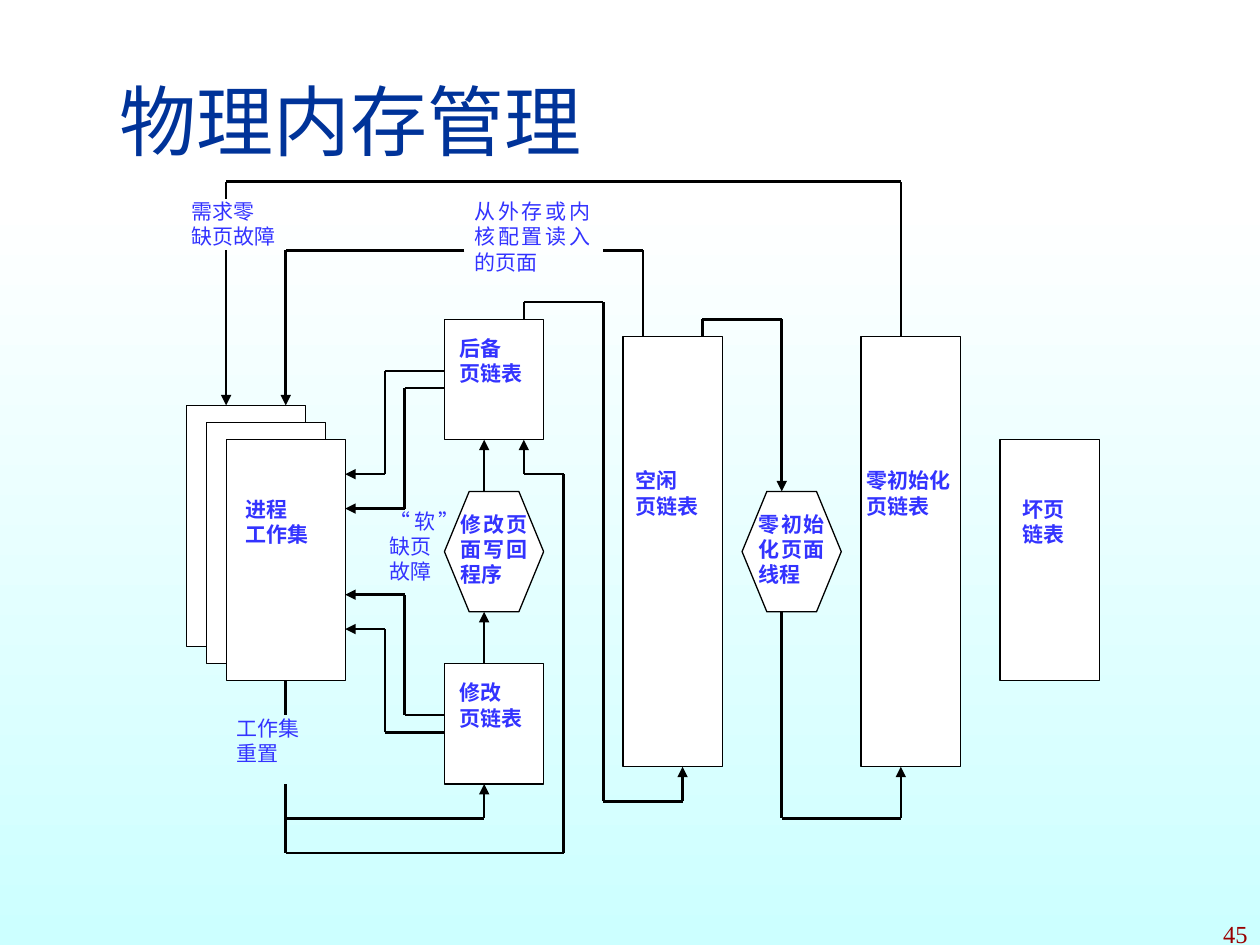
from pptx import Presentation
from pptx.dml.color import RGBColor
from pptx.enum.lang import MSO_LANGUAGE_ID
from pptx.enum.shapes import MSO_CONNECTOR, MSO_SHAPE
from pptx.enum.text import MSO_ANCHOR, PP_ALIGN
from pptx.oxml.ns import qn
from pptx.util import Cm, Pt
from lxml import etree

RECT, HEX = MSO_SHAPE.RECTANGLE, MSO_SHAPE.HEXAGON
LINE = MSO_CONNECTOR.STRAIGHT
TOP = MSO_ANCHOR.TOP
LEFT, RIGHT, JUST = PP_ALIGN.LEFT, PP_ALIGN.RIGHT, PP_ALIGN.JUSTIFY
CHINESE = MSO_LANGUAGE_ID.SIMPLIFIED_CHINESE
SERIF, SANS = "Times New Roman", "Arial"
BLACK, WHITE, BLUE = "000000", "FFFFFF", "3333FF"

# The diagram sits on a grid of columns and rows, in cm
COL, ROW = 0.4, 0.347
WIDE, HIGH = 25.4, 19.05

# Boxes: kind, column, row, columns, rows, text, left and top inset in cm
BOXES = [
    (RECT, 0, 13, 6, 14, "", 0, 0),
    (RECT, 1, 14, 6, 14, "", 0, 0),
    (RECT, 2, 15, 6, 14, "进程\n工作集", 0.4, 1.14),
    (RECT, 13, 8, 5, 7, "后备\n页链表", 0.3, 0.33),
    (HEX, 13, 18, 5, 7, "修改页面写回程序", 0, 0),
    (RECT, 13, 28, 5, 7, "修改\n页链表", 0.3, 0.33),
    (RECT, 22, 9, 5, 25, "空闲\n页链表", 0.25, 2.65),
    (HEX, 28, 18, 5, 7, "零初始化页面线程", 0, 0),
    (RECT, 34, 9, 5, 25, "零初始化\n页链表", 0.1, 2.65),
    (RECT, 41, 15, 5, 14, "坏页\n链表", 0.45, 1.14),
]

# Labels: column, row, columns, rows, text, left and right inset in cm
LABELS = [
    (0, 1, 5, 3, "需求零\n缺页故障", 0.1, 0.1),
    (14, 1, 7, 5, "从外存或内核配置读入的页面", 0.2, 0.25),
    (10, 19, 4, 5, "“软”缺页\n故障", 0.1, 0.1),
    (2, 31, 6, 4, "工作集\n重置", 0.2, 0.25),
]

# Routes that end in an arrowhead, as grid points
ARROWS = [
    [(13, 11), (10, 11), (10, 17), (8, 17)],
    [(13, 12), (11, 12), (11, 19), (8, 19)],
    [(13, 31), (11, 31), (11, 24), (8, 24)],
    [(13, 32), (10, 32), (10, 26), (8, 26)],
    [(15, 28), (15, 25)],
    [(15, 18), (15, 15)],
    [(30, 25), (30, 37), (36, 37), (36, 34)],
    [(26, 9), (26, 8), (30, 8), (30, 18)],
    [(17, 8), (17, 7), (21, 7), (21, 36), (25, 36), (25, 34)],
    [(5, 37), (15, 37), (15, 35)],
    [(5, 35), (5, 39), (19, 39), (19, 17), (17, 17), (17, 15)],
    [(14, 4), (5, 4), (5, 13)],
    [(2, 4), (2, 13)],
]

# Routes that run into a label
STUBS = [
    [(5, 29), (5, 31)],
    [(23, 9), (23, 4), (21, 4)],
    [(36, 9), (36, 0), (2, 0), (2, 1)],
]


def paint(code):
    return RGBColor.from_string(code)


def write(shape, text, pads, size=12, face=SERIF, color=BLUE, bold=False,
          align=JUST):
    """Fill a shape with text; pads are left, top, right, bottom in cm."""
    frame = shape.text_frame
    frame.word_wrap = True
    frame.vertical_anchor = TOP
    (frame.margin_left, frame.margin_top,
     frame.margin_right, frame.margin_bottom) = map(Cm, pads)
    frame.text = text
    for para in frame.paragraphs:
        para.alignment = align
        for run in para.runs:
            font = run.font
            font.size, font.name, font.bold = Pt(size), face, bold
            font.color.rgb = paint(color)
            font.language_id = CHINESE


def area(x, y, w, h):
    return Cm(x), Cm(y), Cm(w), Cm(h)


def cells(box, col, row, cols, rows):
    """Turn a grid area into lengths inside the box."""
    return area(box[0] + col * COL, box[1] + row * ROW, cols * COL, rows * ROW)


def node(shapes, place, kind, text, left, top):
    shape = shapes.add_shape(kind, *place)
    shape.shadow.inherit = False
    shape.fill.solid()
    shape.fill.fore_color.rgb = paint(WHITE)
    shape.line.color.rgb = paint(BLACK)
    shape.line.width = Pt(0.75)
    if text:
        side = 0 if kind == HEX else min(left, 0.25)
        write(shape, text, (left, top, side, 0), bold=True)


def route(shapes, box, points, arrow):
    """Join grid points with straight lines."""
    spots = [cells(box, *point, 0, 0)[:2] for point in points]
    for start, end in zip(spots, spots[1:]):
        line = shapes.add_connector(LINE, *start, *end)
        line.line.color.rgb = paint(BLACK)
        line.line.width = Pt(1.5)
        props = line._element.spPr
        if arrow and end is spots[-1]:
            etree.SubElement(props.find(qn("a:ln")), qn("a:tailEnd"),
                             type="triangle")
        etree.SubElement(props, qn("a:effectLst"))


def backdrop(shapes, box):
    shape = shapes.add_shape(RECT, *area(*box))
    shape.shadow.inherit = False
    shape.line.fill.background()
    shape.fill.gradient()
    shape.fill.gradient_angle = 270
    for stop, code in zip(shape.fill.gradient_stops, (WHITE, "CCFFFF")):
        stop.color.rgb = paint(code)


def diagram(shapes, box):
    for kind, col, row, cols, rows, text, left, top in BOXES:
        node(shapes, cells(box, col, row, cols, rows), kind, text, left, top)
    for points in ARROWS:
        route(shapes, box, points, True)
    for points in STUBS:
        route(shapes, box, points, False)
    for col, row, cols, rows, text, left, right in LABELS:
        label = shapes.add_textbox(*cells(box, col, row, cols, rows))
        write(label, text, (left, 0, right, 0))


def heading(shapes, box):
    write(shapes.add_textbox(*area(*box)), "物理内存管理",
          (0.25, 0.13, 0.25, 0.13), 44, SANS, "003399", align=LEFT)


def number(shapes, box):
    write(shapes.add_textbox(*area(*box)), "45",
          (0.25, 0.13, 0.25, 0.13), 14, SERIF, "990000", align=RIGHT)


def main():
    deck = Presentation()
    deck.slide_width, deck.slide_height = Cm(WIDE), Cm(HIGH)
    slide = deck.slides.add_slide(deck.slide_layouts[6])
    shapes = slide.shapes
    backdrop(shapes, (0, 3.94, WIDE, HIGH - 3.94))
    number(shapes, (18.2, 18.39, 7.2, 0.66))
    diagram(shapes, (3.76, 3.66))
    heading(shapes, (2.16, 1.35, 10.82, 3.68))
    deck.save("out.pptx")


if __name__ == "__main__":
    main()
